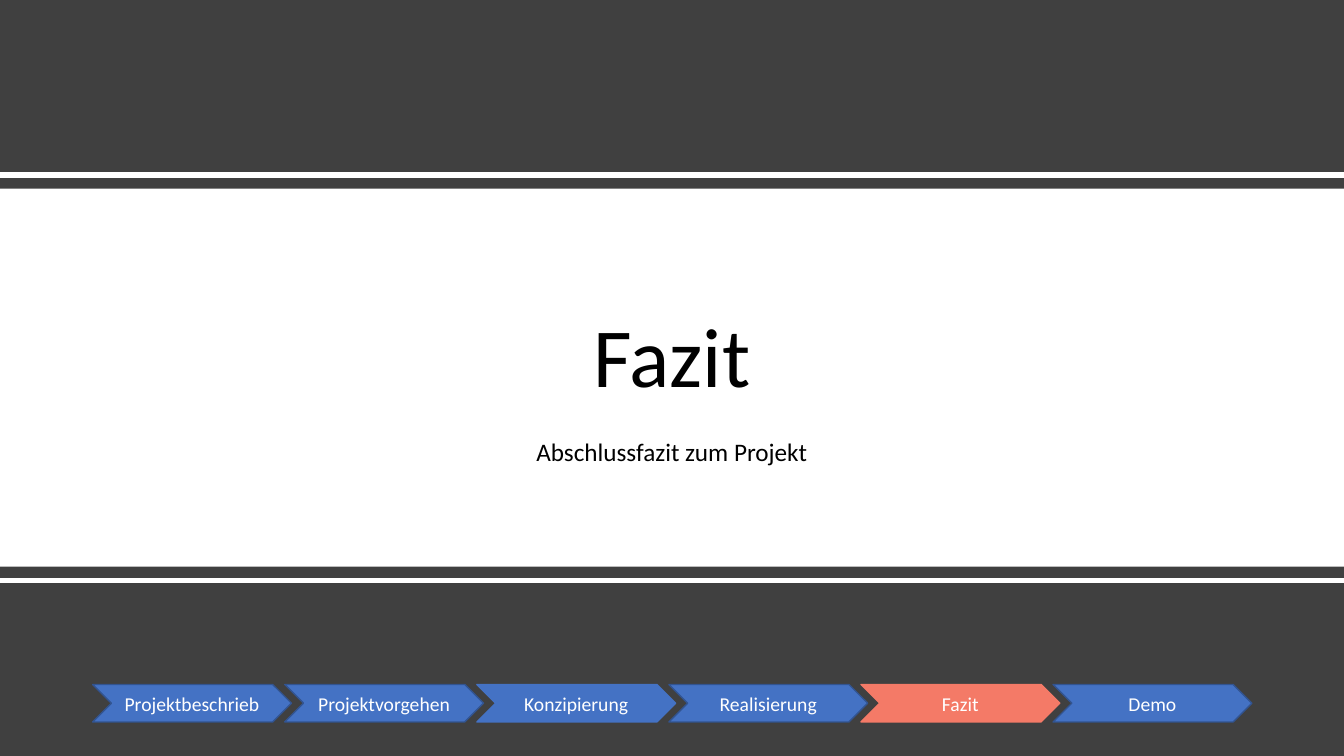
import pptx
import pptx.util
import pptx.dml.color
import pptx.enum.shapes
import pptx.enum.text
import pptx.oxml

Pt = pptx.util.Pt
KIND = pptx.enum.shapes.MSO_SHAPE
ANCHOR = pptx.enum.text.MSO_ANCHOR
CENTER = pptx.enum.text.PP_ALIGN.CENTER
DARK, WHITE, BLACK = "404040", "FFFFFF", "000000"
BLUE, NAVY, CORAL = "4472C4", "325491", "F47A67"
WIDTH, HEIGHT = 960, 540
STEPS = [
    ("Projektbeschrieb", BLUE, NAVY),
    ("Projektvorgehen", BLUE, NAVY),
    ("Konzipierung", BLUE, BLUE),
    ("Realisierung", BLUE, NAVY),
    ("Fazit", CORAL, CORAL),
    ("Demo", BLUE, NAVY),
]


def paint(target, color):
    target.rgb = pptx.dml.color.RGBColor.from_string(color)


def assign(target, values):
    for name, value in values.items():
        setattr(target, name, value)


def place(shape, left, top, width, height):
    assign(shape, {"left": Pt(left), "top": Pt(top),
                   "width": Pt(width), "height": Pt(height)})


def write(shape, text, size, color, frame, para):
    body = shape.text_frame
    body.text = text
    assign(body, {"word_wrap": True, **frame})
    line = body.paragraphs[0]
    assign(line, {"alignment": CENTER, **para})
    font = line.runs[0].font
    assign(font, {"name": "Calibri", "size": Pt(size), "bold": False})
    paint(font.color, color)


def add_form(slide, kind, box, fill, edge=None):
    shape = slide.shapes.add_shape(kind, *map(Pt, box))
    shape.shadow.inherit = False
    shape.fill.solid()
    paint(shape.fill.fore_color, fill)
    if edge:
        shape.line.width = Pt(1)
        paint(shape.line.color, edge)
    else:
        shape.line.fill.background()
    return shape


def add_rule(slide, top):
    rule = slide.shapes.add_connector(
        pptx.enum.shapes.MSO_CONNECTOR.STRAIGHT,
        Pt(0), Pt(top), Pt(WIDTH), Pt(top))
    rule.line.width = Pt(4)
    paint(rule.line.color, WHITE)
    rule.element.spPr.append(pptx.oxml.parse_xml(
        '<a:effectLst xmlns:a="http://schemas.openxmlformats.org/drawingml/2006/main"/>'))


def add_title(slide, text):
    title = slide.shapes.title
    slide.shapes.element.append(title.element)
    place(title, 62.6, 147.5, 834.5, 146)
    write(title, text, 60, BLACK, {"vertical_anchor": ANCHOR.BOTTOM},
          {"line_spacing": 0.9})


def add_note(slide, text):
    note = slide.shapes.add_textbox(Pt(62.6), Pt(310.4), Pt(834.5), Pt(58.3))
    write(note, text, 18, BLACK, {"vertical_anchor": ANCHOR.TOP},
          {"line_spacing": 0.9, "space_before": Pt(10)})


def add_steps(slide):
    frame = {"vertical_anchor": ANCHOR.MIDDLE,
             "margin_left": 0, "margin_right": 0}
    for index, (text, fill, edge) in enumerate(STEPS):
        box = (66.2 + index * 137.2, 488.9, 142, 26.8)
        step = add_form(slide, KIND.CHEVRON, box, fill, edge)
        write(step, text, 14, WHITE, frame, {})


def main():
    deck = pptx.Presentation()
    assign(deck, {"slide_width": Pt(WIDTH), "slide_height": Pt(HEIGHT)})
    slide = deck.slides.add_slide(deck.slide_layouts[5])
    add_form(slide, KIND.RECTANGLE, (0, 0, WIDTH, HEIGHT), DARK)
    add_rule(slide, 125)
    add_form(slide, KIND.RECTANGLE, (0, 134.7, WIDTH, 270), WHITE)
    add_title(slide, "Fazit")
    add_note(slide, "Abschlussfazit zum Projekt")
    add_rule(slide, 414.7)
    add_steps(slide)
    deck.save("out.pptx")


if __name__ == "__main__":
    main()
